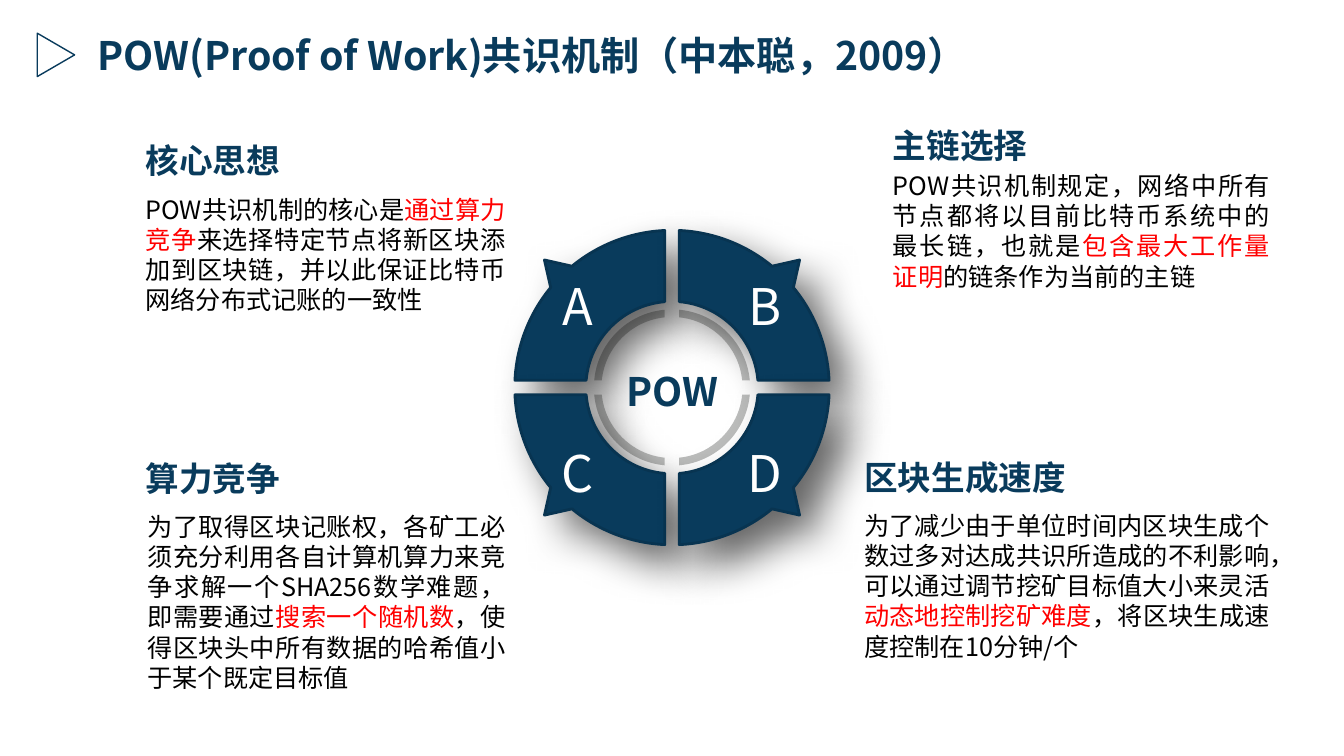
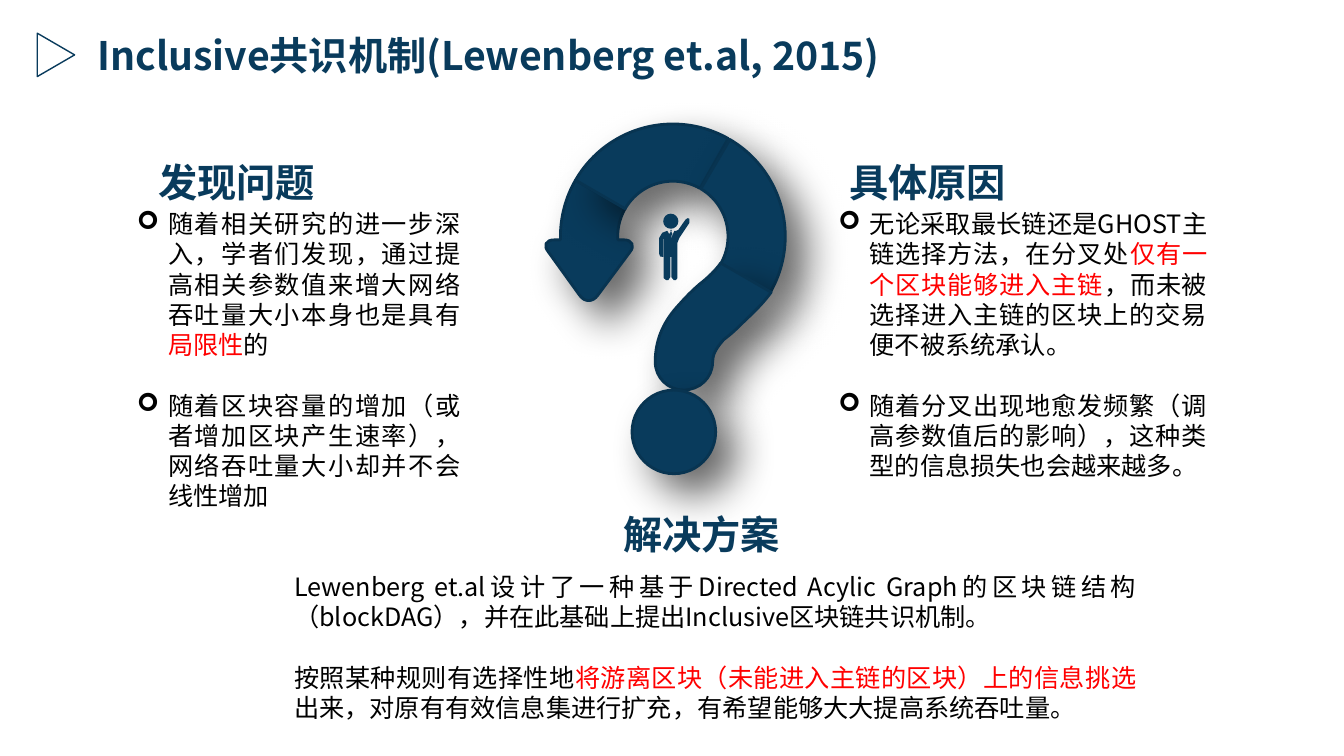
from dataclasses import dataclass
from math import asin, cos, degrees, floor, radians, sin, tan
from typing import Any, Iterable, Optional

from lxml.etree import SubElement
from pptx import Presentation
from pptx.dml.color import RGBColor
from pptx.enum.shapes import MSO_SHAPE
from pptx.enum.text import MSO_ANCHOR, MSO_AUTO_SIZE, PP_ALIGN
from pptx.oxml.ns import qn
from pptx.util import Emu, Inches, Pt

Point = tuple[float, float]
# A segment holds one point (move or line) or three (cubic Bezier).
Segment = tuple[Point, ...]

# The slide is a grid of square cells; every length below is in cells.
COLS, ROWS = 133.33, 75
CELL = Inches(7.5) / ROWS


@dataclass(frozen=True)
class Theme:
    navy: str = "093B5C"
    edge: str = "083451"
    ring: str = "BBBCBB"
    black: str = "000000"
    red: str = "FF0000"
    white: str = "FFFFFF"
    font: str = "Noto Sans CJK SC"
    bullet_font: str = "Wingdings"
    title: int = 28
    heading: int = 24
    body: int = 18
    letter: int = 36
    blank_line: float = 21.6


T = Theme()


@dataclass(frozen=True)
class Style:
    size: int
    color: str
    bold: bool = False
    align: PP_ALIGN = PP_ALIGN.LEFT
    bullet: Optional[str] = None


TITLE = Style(T.title, T.navy, True)
HEADING = Style(T.heading, T.navy, True)
HUB = Style(T.title, T.navy, True, PP_ALIGN.CENTER)
LETTER = Style(T.letter, T.white, align=PP_ALIGN.CENTER)
BODY = Style(T.body, T.black, align=PP_ALIGN.JUSTIFY)
BULLETS = Style(T.body, T.black, align=PP_ALIGN.JUSTIFY, bullet="➢")


@dataclass(frozen=True)
class Block:
    """A text box; words between bars are shown in red."""
    x: float
    y: float
    w: float
    h: float
    style: Style
    paragraphs: tuple[str, ...]


@dataclass(frozen=True)
class Quadrant:
    letter: str
    sx: int
    sy: int


def g(cells: float) -> Emu:
    return Emu(round(cells * CELL))


def apply(target: Any, values: dict[str, Any]) -> None:
    for name, value in values.items():
        setattr(target, name, value)


def add_run(p: Any, text: str, style: Style, color: str) -> None:
    r = p.add_run()
    r.text = text
    apply(r.font, {"size": Pt(style.size), "bold": style.bold, "name": T.font})
    r.font.color.rgb = RGBColor.from_string(color)
    r.font._element.find(qn("a:latin")).addnext(
        SubElement(r.font._element, qn("a:ea"), typeface=T.font))


def add_block(s: Any, block: Block, frame: Optional[dict[str, Any]] = None) -> None:
    tf = s.shapes.add_textbox(g(block.x), g(block.y), g(block.w), g(block.h)).text_frame
    apply(tf, {"word_wrap": True, "auto_size": MSO_AUTO_SIZE.SHAPE_TO_FIT_TEXT, **(frame or {})})
    style = block.style
    for i, text in enumerate(block.paragraphs):
        p = tf.add_paragraph() if i else tf.paragraphs[0]
        p.alignment = style.align
        if i:
            p.space_before = Pt(T.blank_line)
        if style.bullet:
            pPr = p._p.get_or_add_pPr()
            pPr.set("marL", str(g(3.1)))
            pPr.set("indent", str(-g(3.1)))
            SubElement(pPr, qn("a:buFont"), typeface=T.bullet_font, charset="2")
            SubElement(pPr, qn("a:buChar"), char=style.bullet)
        for n, part in enumerate(text.split("|")):
            add_run(p, part, style, T.red if n % 2 else style.color)


def paint(sp: Any, fill: Optional[str], line: Optional[str] = None,
          width: float = 2, shadow: bool = False) -> None:
    for part, color in ((sp.fill, fill), (sp.line.fill, line)):
        if color:
            part.solid()
            part.fore_color.rgb = RGBColor.from_string(color)
        else:
            part.background()
    if line:
        sp.line.width = Pt(width)
    sp.shadow.inherit = False
    if shadow:
        effects = sp._element.spPr.find(qn("a:effectLst"))
        outer = SubElement(effects, qn("a:outerShdw"), blurRad=str(Pt(30)), dist=str(Pt(20)),
                           dir=str(45 * 60000), algn="tl", rotWithShape="0")
        color = SubElement(outer, qn("a:srgbClr"), val=T.black)
        SubElement(color, qn("a:alpha"), val="60000")


def paint_raised(sp: Any) -> None:
    paint(sp, T.navy, T.edge, shadow=True)


def add_outline(s: Any, contours: Iterable[list[Segment]]) -> Any:
    """Freeform whose three-point segments become Bezier curves."""
    contours = list(contours)
    builder = None
    for contour in contours:
        pts = [(g(x), g(y)) for segment in contour for x, y in segment]
        if builder is None:
            builder = s.shapes.build_freeform(*pts[0])
        else:
            builder.move_to(*pts[0])
        builder.add_line_segments(pts[1:], close=True)
    sp = builder.convert_to_shape()
    steps = iter([e for e in sp._element.iter(qn("a:moveTo"), qn("a:lnTo"))])
    for segment in (seg for contour in contours for seg in contour):
        first, *rest = [next(steps) for _ in segment]
        if rest:
            first.tag = qn("a:cubicBezTo")
            for e in rest:
                first.append(e[0])
                e.getparent().remove(e)
    return sp


def lines(*pts: Point) -> list[Segment]:
    return [(pt,) for pt in pts]


def curve(*pts: Point) -> list[Segment]:
    """Chain of cubic Bezier pieces: a start, then three points a piece."""
    return [(pts[0],)] + [pts[k:k + 3] for k in range(1, len(pts), 3)]


def arc(center: Point, r: float, start: float, end: float) -> list[Segment]:
    """Circular arc, split at the quarter points of the circle."""
    low, high = sorted((start, end))
    stops = [low] + [q * 90 for q in range(floor(low / 90) + 1, 5) if q * 90 < high] + [high]
    if start > end:
        stops.reverse()

    def at(angle: float, along: float = 0) -> Point:
        a = radians(angle)
        return (center[0] + r * (cos(a) - along * sin(a)),
                center[1] + r * (sin(a) + along * cos(a)))

    pts = [at(start)]
    for a, b in zip(stops, stops[1:]):
        k = 4 / 3 * tan(radians(b - a) / 4)
        pts += [at(a, k), at(b, -k), at(b)]
    return curve(*pts)


def add_header(s: Any, title: str) -> None:
    add_block(s, Block(8.7, 2.6, 100.9, 5.7, TITLE, (title,)))
    sp = s.shapes.add_shape(MSO_SHAPE.ISOSCELES_TRIANGLE, g(3.4), g(3.6), g(4.3), g(3.7))
    sp.rotation = 90
    paint(sp, None, T.navy, 1)


# Ring of four quadrants
HUB_AT: Point = (66.67, 38.45)
HALF_GAP = 0.72
QUADRANTS = (Quadrant("A", -1, -1), Quadrant("C", -1, 1),
             Quadrant("B", 1, -1), Quadrant("D", 1, 1))


def quarter_band(q: Quadrant, outer: float, inner: float, tip: float = 0) -> list[Segment]:
    """Quarter of a ring, with a pointer on the diagonal if a tip radius is given."""
    o, i = (degrees(asin(HALF_GAP / r)) for r in (outer, inner))
    zero = (0.0, 0.0)
    rim = arc(zero, outer, o, 90 - o)
    if tip:
        corner = tip * cos(radians(45))
        rim = (arc(zero, outer, o, 39.5) + lines((corner, corner))
               + arc(zero, outer, 50.5, 90 - o))
    return [tuple((HUB_AT[0] + q.sx * x, HUB_AT[1] + q.sy * y) for x, y in segment)
            for segment in rim + arc(zero, inner, 90 - i, i)]


def add_ring(s: Any) -> None:
    paint(add_outline(s, [quarter_band(q, 7.75, 7) for q in QUADRANTS]), T.ring)
    for q in QUADRANTS:
        paint_raised(add_outline(s, [quarter_band(q, 15.6, 8.55, 17.9)]))
    add_block(s, Block(60.7, 35.9, 12, 5.7, HUB, ("POW",)))
    frame = {"word_wrap": False, "vertical_anchor": MSO_ANCHOR.MIDDLE,
             "margin_left": g(0.8), "margin_right": g(0.8),
             "margin_top": g(0.4), "margin_bottom": g(0.4)}
    for q in QUADRANTS:
        x, y = 66.6 + 9.3 * q.sx, 38.55 + 8.3 * q.sy
        add_block(s, Block(x - 2.6, y - 3.45, 5.2, 6.9, LETTER, (q.letter,)), frame)


# Question mark
HOOK_AT: Point = (66.75, 23.45)
HOOK_OUTER, HOOK_INNER = 11.15, 5.47


def hook_band(start: float, end: float) -> list[Segment]:
    return arc(HOOK_AT, HOOK_OUTER, end, start) + arc(HOOK_AT, HOOK_INNER, start, end)


def add_question_mark(s: Any) -> None:
    arrow_head = (curve((55, 23.8), (54.1, 23.8), (53.9, 24.4), (54.4, 25))
                  + curve((57.5, 29.3), (58, 30), (58.8, 30), (59.3, 29.3))
                  + curve((62.5, 25), (63, 24.4), (62.7, 23.8), (61.9, 23.8)))
    arrow = (arc(HOOK_AT, HOOK_OUTER, 210, 180) + lines((55.6, 23.8)) + arrow_head
             + lines((61.3, 23.8)) + arc(HOOK_AT, HOOK_INNER, 180, 210))
    tail = curve((69.4, 28.2), (68.7, 28.8), (68, 29.5), (67.3, 30.3),
                 (66, 31.7), (65, 33.5), (65, 35.9), (65, 37.5), (66.3, 38.7), (67.8, 38.7),
                 (69.4, 38.7), (70.7, 37.5), (70.7, 35.9), (70.7, 35.2), (71, 34.6), (71.8, 33.7),
                 (72.2, 33.4), (72.7, 33), (73.2, 32.5), (74.2, 31.5), (75.5, 30.4), (76.5, 29))
    tail += curve((71.5, 26.1), (71, 26.8), (70.3, 27.5), (69.4, 28.2))
    for outline in (arrow, hook_band(210, 299.5), hook_band(300.5, 390), tail):
        paint_raised(add_outline(s, [outline]))
    add_person(s)
    paint_raised(s.shapes.add_shape(MSO_SHAPE.OVAL, g(62.7), g(38.7), g(8.3), g(8.3)))


def add_person(s: Any) -> None:
    head = arc((66.55, 21.95), 0.75, 0, 360)
    body = lines(
        (66.9, 22.9), (66.6, 23.6), (66.2, 22.9), (65.7, 23.1), (65.4, 23.6), (65.4, 25.2),
        (65.5, 25.45), (65.8, 25.5), (65.8, 23.7), (65.85, 23.7), (65.85, 27.6), (66.1, 27.8),
        (66.3, 27.8), (66.5, 27.5), (66.5, 25.5), (66.6, 25.5), (66.6, 27.5), (66.85, 27.8),
        (67.05, 27.8), (67.2, 27.6), (67.2, 24.1), (67.4, 23.6), (68.4, 22.1), (68.4, 21.7),
        (68.2, 21.65), (68, 21.8), (67.3, 22.8), (67.1, 22.9))
    tie = lines((66.5, 22.8), (66.65, 22.8), (66.6, 23), (66.7, 23.2), (66.57, 23.5),
                (66.4, 23.2), (66.55, 23))
    paint(add_outline(s, [head, body, tie]), T.navy)


POW_BLOCKS = (
    Block(13.45, 13.4, 33.4, 5, HEADING, ("核心思想",)),
    Block(13.45, 18.75, 37.7, 13.1, BODY, (
        "POW共识机制的核心是|通过算力竞争|来选择特定节点将新区块添加到区块链，并以此保证比特币网络分布式记账的一致性",)),
    Block(87.6, 11.9, 33.4, 5, HEADING, ("主链选择",)),
    Block(87.6, 16.4, 39.4, 13.1, BODY, (
        "POW共识机制规定，网络中所有节点都将以目前比特币系统中的最长链，也就是|包含最大工作量证明|的链条作为当前的主链",)),
    Block(13.45, 44.95, 33.4, 5, HEADING, ("算力竞争",)),
    Block(13.65, 50.2, 37.5, 19.2, BODY, (
        "为了取得区块记账权，各矿工必须充分利用各自计算机算力来竞争求解一个SHA256数学难题，即需要通过"
        "|搜索一个随机数|，使得区块头中所有数据的哈希值小于某个既定目标值",)),
    Block(84.75, 44.8, 33.4, 5, HEADING, ("区块生成速度",)),
    Block(84.75, 50.1, 42.2, 16.2, BODY, (
        "为了减少由于单位时间内区块生成个数过多对达成共识所造成的不利影响，可以通过调节挖矿目标值大小来灵活"
        "|动态地控制挖矿难度|，将区块生成速度控制在10分钟/个",)),
)

INCLUSIVE_BLOCKS = (
    Block(14.7, 15.2, 31.9, 5.7, TITLE, ("发现问题",)),
    Block(12.6, 20.2, 34.1, 31.3, BULLETS, (
        "随着相关研究的进一步深入，学者们发现，通过提高相关参数值来增大网络吞吐量大小本身也是具有|局限性|的",
        "随着区块容量的增加（或者增加区块产生速率），网络吞吐量大小却并不会线性增加")),
    Block(83.25, 15.2, 31.9, 5.7, TITLE, ("具体原因",)),
    Block(82.2, 20.2, 38.55, 28.3, BULLETS, (
        "无论采取最长链还是GHOST主链选择方法，在分叉处|仅有一个区块能够进入主链|，而未被选择进入主链的区块上的交易便不被系统承认。",
        "随着分叉出现地愈发频繁（调高参数值后的影响），这种类型的信息损失也会越来越多。")),
    Block(60.85, 50.15, 19.8, 5.7, TITLE, ("解决方案",)),
    Block(28.2, 56.2, 85.5, 16.2, BODY, (
        "Lewenberg et.al设计了一种基于Directed Acylic Graph的区块链结构（blockDAG），"
        "并在此基础上提出Inclusive区块链共识机制。",
        "按照某种规则有选择性地|将游离区块（未能进入主链的区块）上的信息挑选|出来，"
        "对原有有效信息集进行扩充，有希望能够大大提高系统吞吐量。")),
)


def main() -> None:
    prs = Presentation()
    apply(prs, {"slide_width": g(COLS), "slide_height": g(ROWS)})
    slides = (
        ("POW(Proof of Work)共识机制（中本聪，2009）", add_ring, POW_BLOCKS),
        ("Inclusive共识机制(Lewenberg et.al, 2015)", add_question_mark, INCLUSIVE_BLOCKS),
    )
    for title, add_figure, blocks in slides:
        s = prs.slides.add_slide(prs.slide_layouts[6])
        add_figure(s)
        for block in blocks:
            add_block(s, block)
        add_header(s, title)
    prs.save("out.pptx")


if __name__ == "__main__":
    main()
